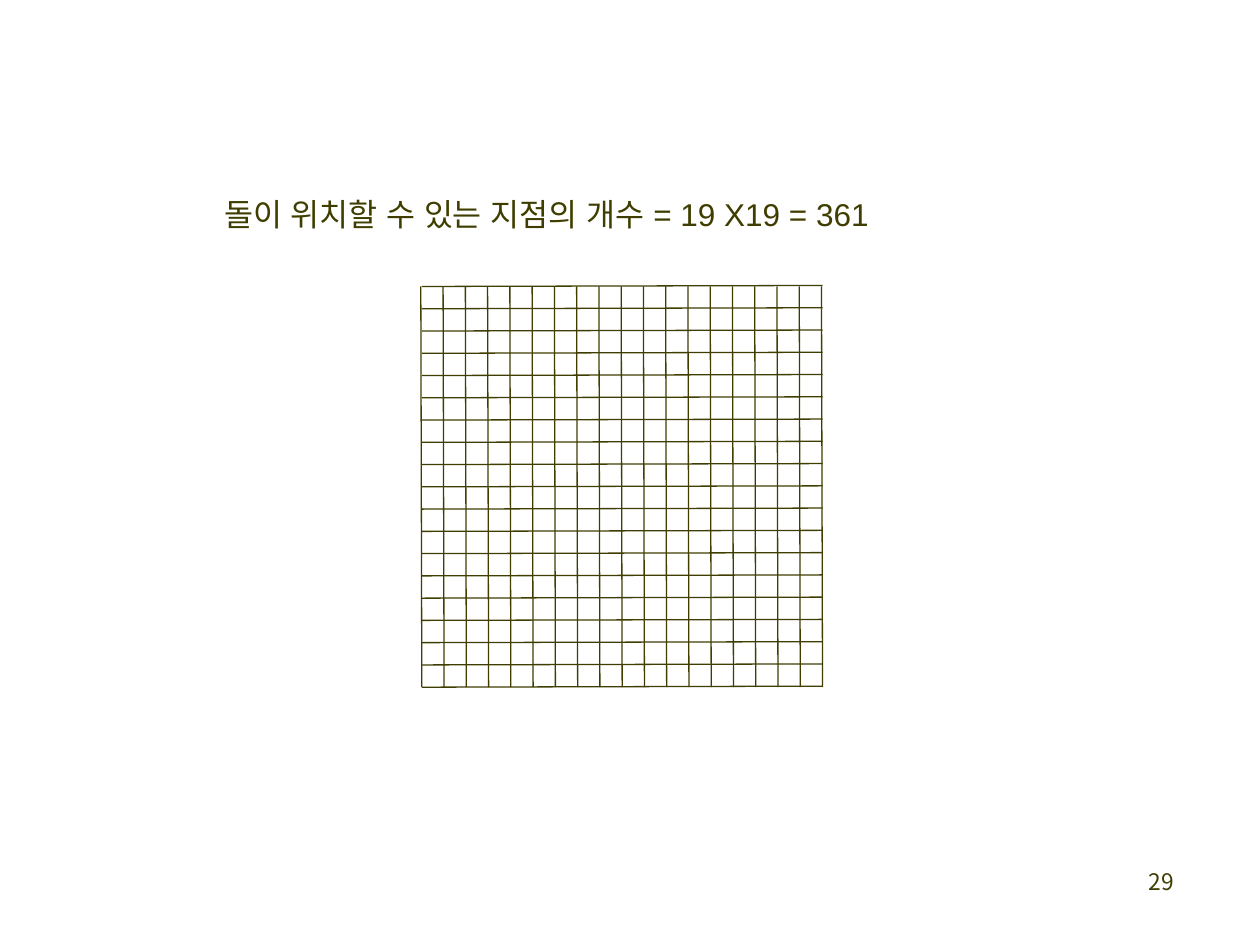
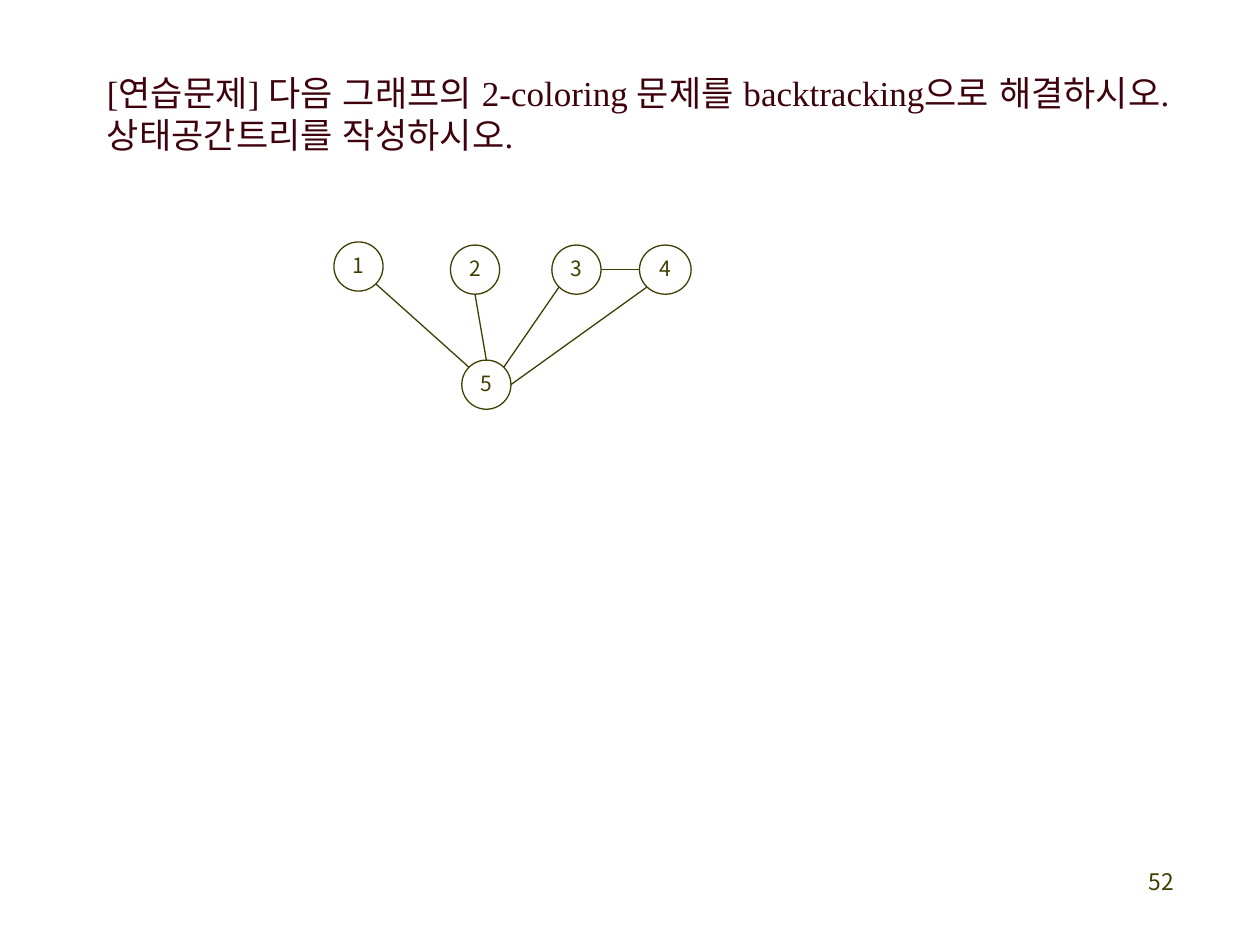
import math
import pptx
import pptx.util
import pptx.dml.color
import pptx.enum.shapes
import pptx.enum.text
import lxml.etree

# Shared look: the slide is a grid of 100 columns by 75 rows
COLS, ROWS = 100, 75
CELL = pptx.util.Inches(0.1)
HUES = {"page": "FFFFFF", "olive": "3F3E00", "wine": "3E020C"}
SANS, KOREAN, SERIF = "Arial", "Noto Sans CJK KR", "Times New Roman"
ALIGN = pptx.enum.text.PP_ALIGN
NS = "http://schemas.openxmlformats.org/drawingml/2006/main"


def span(*cells):
    return [round(n * CELL) for n in cells]


def hue(name):
    return pptx.dml.color.RGBColor.from_string(HUES[name])


def style(par, font, size, tone, align=None):
    par.font.name = font
    par.font.size = pptx.util.Pt(size)
    par.font.color.rgb = hue(tone)
    if align is not None:
        par.alignment = align
    # East Asian typeface, which sets the width of spaces between words
    props = par._p.pPr.find(f"{{{NS}}}defRPr")
    lxml.etree.SubElement(props, f"{{{NS}}}ea", typeface=SANS)


def stroke(item):
    item.line.color.rgb = hue("olive")
    item.line.width = pptx.util.Pt(0.75)


def link(shapes, start, end):
    line = shapes.add_connector(
        pptx.enum.shapes.MSO_CONNECTOR.STRAIGHT, *span(*start, *end))
    stroke(line)
    lxml.etree.SubElement(line._element.spPr, f"{{{NS}}}effectLst")


def write(slide, box, lines, font, size, tone, align=None, gap=None, wrap=True):
    frame = slide.shapes.add_textbox(*span(*box)).text_frame
    frame.word_wrap = wrap
    for i, line in enumerate(lines):
        par = frame.add_paragraph() if i else frame.paragraphs[0]
        par.text = line
        style(par, font, size, tone, align)
        if gap:
            par.line_spacing = gap


def start(deck, number):
    slide = deck.slides.add_slide(deck.slide_layouts[6])
    slide.background.fill.solid()
    slide.background.fill.fore_color.rgb = hue("page")
    # Page number
    write(slide, (73.35, 68.35, 20.8, 5), [number], KOREAN, 13, "olive",
          ALIGN.RIGHT)
    return slide


def board(slide, box, count=19, tilt=0.08):
    """Go board of count lines each way, leaning by a slight tilt."""
    left, top, width, height = box
    shapes = slide.shapes.add_group_shape().shapes
    for i in range(count):
        x = left + width * i / (count - 1)
        link(shapes, (x, top), (x + tilt, top + height))
    for i in range(count):
        y = top + height * i / (count - 1)
        link(shapes, (left + tilt, y), (left + width + tilt, y - tilt))


def graph(slide, box):
    """Five nodes, placed from the box corner, and the edges between them."""
    left, top = box[:2]
    size = 3.9
    nodes = {"1": (0, 0, size), "5": (10.15, 9.38, size),
             "3": (17.3, 0.25, size), "2": (9.25, 0.25, size),
             "4": (24.25, 0.25, 4.1)}
    turns = {"E": 0, "SE": 45, "S": 90, "SW": 135, "W": 180,
             "NW": 225, "N": 270, "NE": 315}

    def rim(name, side):
        x, y, wide = nodes[name]
        turn = math.radians(turns[side])
        return (left + x + wide / 2 * (1 + math.cos(turn)),
                top + y + size / 2 * (1 + math.sin(turn)))

    # Nodes
    for name, (x, y, wide) in nodes.items():
        node = slide.shapes.add_shape(
            pptx.enum.shapes.MSO_SHAPE.OVAL,
            *span(left + x, top + y, wide, size))
        node.shadow.inherit = False
        node.fill.background()
        stroke(node)
        frame = node.text_frame
        frame.margin_left = frame.margin_right = 0
        frame.margin_top = frame.margin_bottom = 0
        frame.vertical_anchor = pptx.enum.text.MSO_ANCHOR.MIDDLE
        par = frame.paragraphs[0]
        par.text = name
        style(par, KOREAN, 12, "olive", ALIGN.CENTER)
        par.line_spacing = 0.9
        par.space_before = pptx.util.Pt(2.4)

    # Edges
    for one, out, two, into in [("1", "SE", "5", "NW"), ("2", "S", "5", "N"),
                                ("3", "SW", "5", "NE"), ("4", "SW", "5", "E"),
                                ("3", "E", "4", "W")]:
        link(slide.shapes, rim(one, out), rim(two, into))


def main():
    deck = pptx.Presentation()
    deck.slide_width, deck.slide_height = span(COLS, ROWS)

    # Number of points on the board
    slide = start(deck, "29")
    board(slide, (33.4, 22.74, 31.8, 31.8))
    write(slide, (16.8, 13.5, 56.3, 5.6),
          ["돌이 위치할 수 있는 지점의 개수 = 19 Χ19 = 361"],
          SANS, 18, "olive", gap=1.5, wrap=False)

    # Colouring exercise
    slide = start(deck, "52")
    graph(slide, (26.5, 19.2, 28.4, 13.3))
    write(slide, (7.5, 5.2, 89.5, 7.7),
          ["[연습문제] 다음 그래프의 2-coloring 문제를 backtracking으로 해결하시오.",
           "상태공간트리를 작성하시오."], SERIF, 20, "wine")

    deck.save("out.pptx")


if __name__ == "__main__":
    main()
